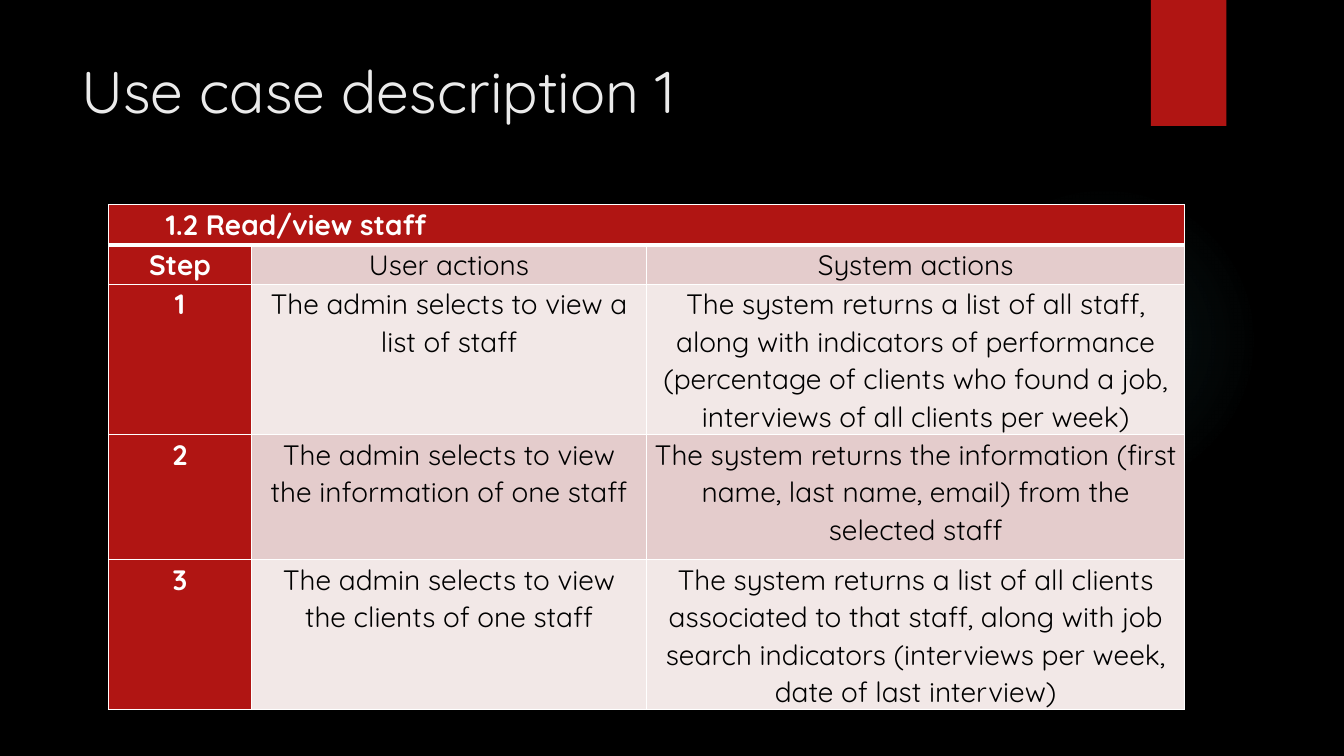
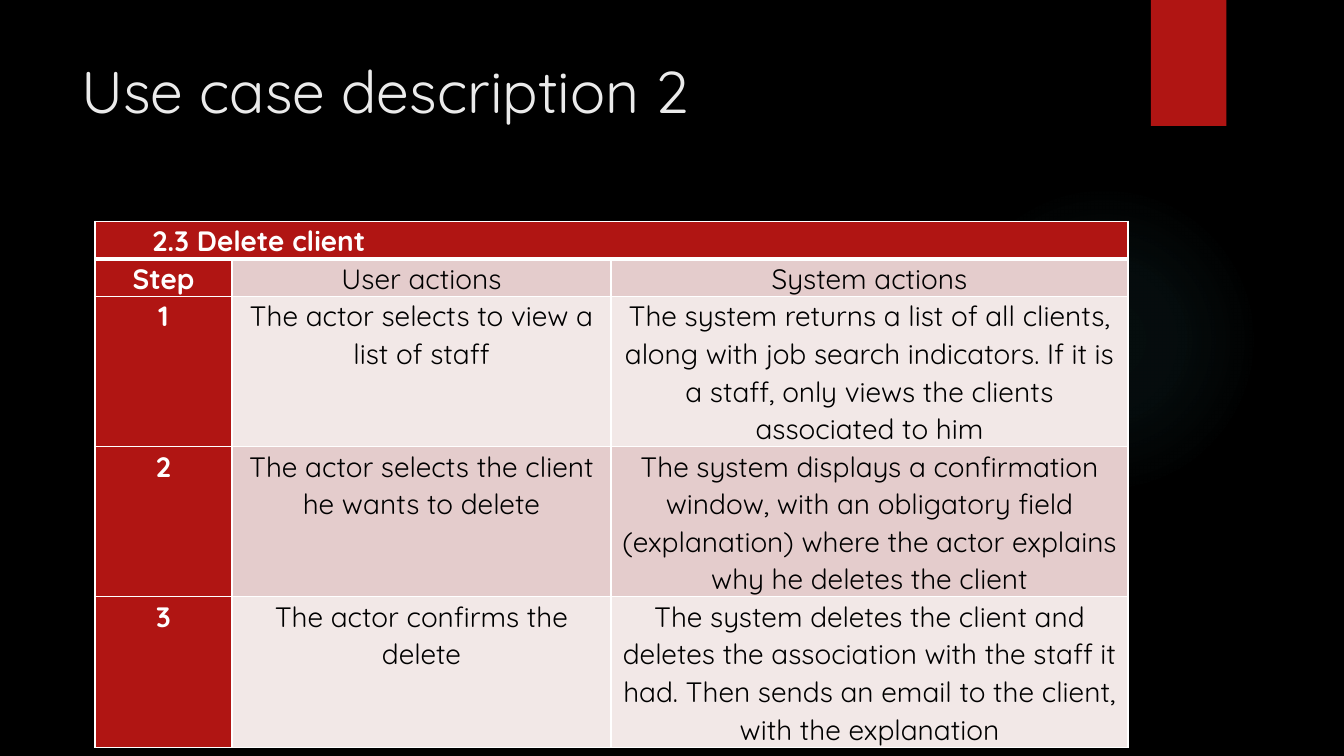
import pptx
import pptx.util
import pptx.dml.color
import pptx.enum.shapes
import pptx.enum.text
import pptx.oxml
import pptx.oxml.ns

Pt = pptx.util.Pt
ALIGN = pptx.enum.text.PP_ALIGN
SHAPE = pptx.enum.shapes.MSO_SHAPE

COLORS = {
    "back": "000000", "red": "B01513", "glow": "50B9C1", "title": "EBEBEB",
    "white": "FFFFFF", "black": "000000", "dark": "E4CCCC", "light": "F2E8E7",
}
FONT = "Quicksand"
GLOW = [(0, 7), (36, 6), (69, 0)]  # stop and opacity, in percent
HEADS = ("Step", "User actions", "System actions")

SLIDES = [
    {
        "title": "Use case description 1",
        "case": "1.2 Read/view staff",
        "at": (77.4, 146.2),
        "cols": (102.24, 282.24, 384.48),
        "rows": (28.6, 28.4, 107.3, 89.3, 107.3),
        "steps": [
            ("The admin selects to view a list of staff",
             "The system returns a list of all staff, along with indicators of performance "
             "(percentage of clients who found a job, interviews of all clients per week)"),
            ("The admin selects to view the information of one staff",
             "The system returns the information (first name, last name, email) "
             "from the selected staff"),
            ("The admin selects to view the clients of one staff",
             "The system returns a list of all clients associated to that staff, along with "
             "job search indicators (interviews per week, date of last interview)"),
        ],
    },
    {
        "title": "Use case description 2",
        "case": "2.3 Delete client",
        "at": (67.8, 158),
        "cols": (97.92, 270.72, 369.36),
        "rows": (27, 26.8, 107.3, 107.3, 107.3),
        "steps": [
            ("The actor selects to view a list of staff",
             "The system returns a list of all clients, along with job search indicators. "
             "If it is a staff, only views the clients associated to him"),
            ("The actor selects the client he wants to delete",
             "The system displays a confirmation window, with an obligatory field "
             "(explanation) where the actor explains why he deletes the client"),
            ("The actor confirms the delete",
             "The system deletes the client and deletes the association with the staff it "
             "had. Then sends an email to the client, with the explanation"),
        ],
    },
]


def rgb(name):
    return pptx.dml.color.RGBColor.from_string(COLORS[name])


def paint(fill, name):
    fill.solid()
    fill.fore_color.rgb = rgb(name)


def style(para, size, color, bold=False):
    para.font.name = FONT
    para.font.size = Pt(size)
    para.font.bold = bold
    para.font.color.rgb = rgb(color)


def xml(text):
    return pptx.oxml.parse_xml(text.replace(">", " " + pptx.oxml.ns.nsdecls("a") + ">", 1))


def add_plain(slide, kind, *box):
    shape = slide.shapes.add_shape(kind, *map(Pt, box))
    shape.shadow.inherit = False
    shape.line.fill.background()
    return shape


def add_frame(slide, title):
    """Draw the glow, the red tab and the title that all slides share."""
    glow = add_plain(slide, SHAPE.OVAL, 677.5, 131.75, 221.75, 221.75)
    stops = "".join(
        f'<a:gs pos="{pos * 1000}"><a:srgbClr val="{COLORS["glow"]}">'
        f'<a:alpha val="{alpha * 1000}"/></a:srgbClr></a:gs>' for pos, alpha in GLOW)
    grad = xml(f'<a:gradFill><a:gsLst>{stops}</a:gsLst><a:path path="circle">'
               '<a:fillToRect l="50000" t="50000" r="50000" b="50000"/></a:path></a:gradFill>')
    glow.element.spPr.find(pptx.oxml.ns.qn("a:prstGeom")).addnext(grad)

    tab = add_plain(slide, SHAPE.RECTANGLE, 822, 0, 54, 90)
    paint(tab.fill, "red")

    frame = slide.shapes.add_textbox(Pt(51), Pt(35.5), Pt(741), Pt(110)).text_frame
    frame.word_wrap = True
    para = frame.paragraphs[0]
    para.text = title
    style(para, 42, "title")


def set_edges(cell, row):
    """Give a cell white borders, with a thick rule under the first row."""
    thick = {(0, "B"), (1, "T")}
    props = cell._tc.get_or_add_tcPr()
    for side in "LRTB":
        width = Pt(3 if (row, side) in thick else 1)
        props.append(xml(f'<a:ln{side} w="{width}"><a:solidFill>'
                         f'<a:srgbClr val="{COLORS["white"]}"/></a:solidFill></a:ln{side}>'))


def fill_cell(cell, text, row, col):
    red = row == 0 or col == 0
    set_edges(cell, row)
    paint(cell.fill, "red" if red else "dark" if row % 2 else "light")
    cell.margin_left = cell.margin_right = Pt(5)
    cell.margin_top = cell.margin_bottom = 0
    para = cell.text_frame.paragraphs[0]
    para.text = text
    para.line_spacing = 1.07
    style(para, 20, "white" if red else "black", red)
    if row:
        para.alignment = ALIGN.CENTER
    else:
        para.level = 1
        para._p.get_or_add_pPr().set("marL", str(Pt(36)))


def add_case(slide, case):
    steps = [(str(num), *step) for num, step in enumerate(case["steps"], 1)]
    grid = [(case["case"], "", ""), HEADS, *steps]
    cols, rows = case["cols"], case["rows"]
    box = (*case["at"], sum(cols), sum(rows))
    table = slide.shapes.add_table(len(rows), len(cols), *map(Pt, box)).table
    for col, width in zip(table.columns, cols):
        col.width = Pt(width)
    for row, height in zip(table.rows, rows):
        row.height = Pt(height)
    for r, line in enumerate(grid):
        for c, text in enumerate(line):
            fill_cell(table.cell(r, c), text, r, c)
    table.cell(0, 0).merge(table.cell(0, len(cols) - 1))


def main():
    deck = pptx.Presentation()
    deck.slide_width, deck.slide_height = Pt(960), Pt(540)
    paint(deck.slide_master.background.fill, "back")
    for case in SLIDES:
        slide = deck.slides.add_slide(deck.slide_layouts[6])
        add_frame(slide, case["title"])
        add_case(slide, case)
    deck.save("out.pptx")


if __name__ == "__main__":
    main()
